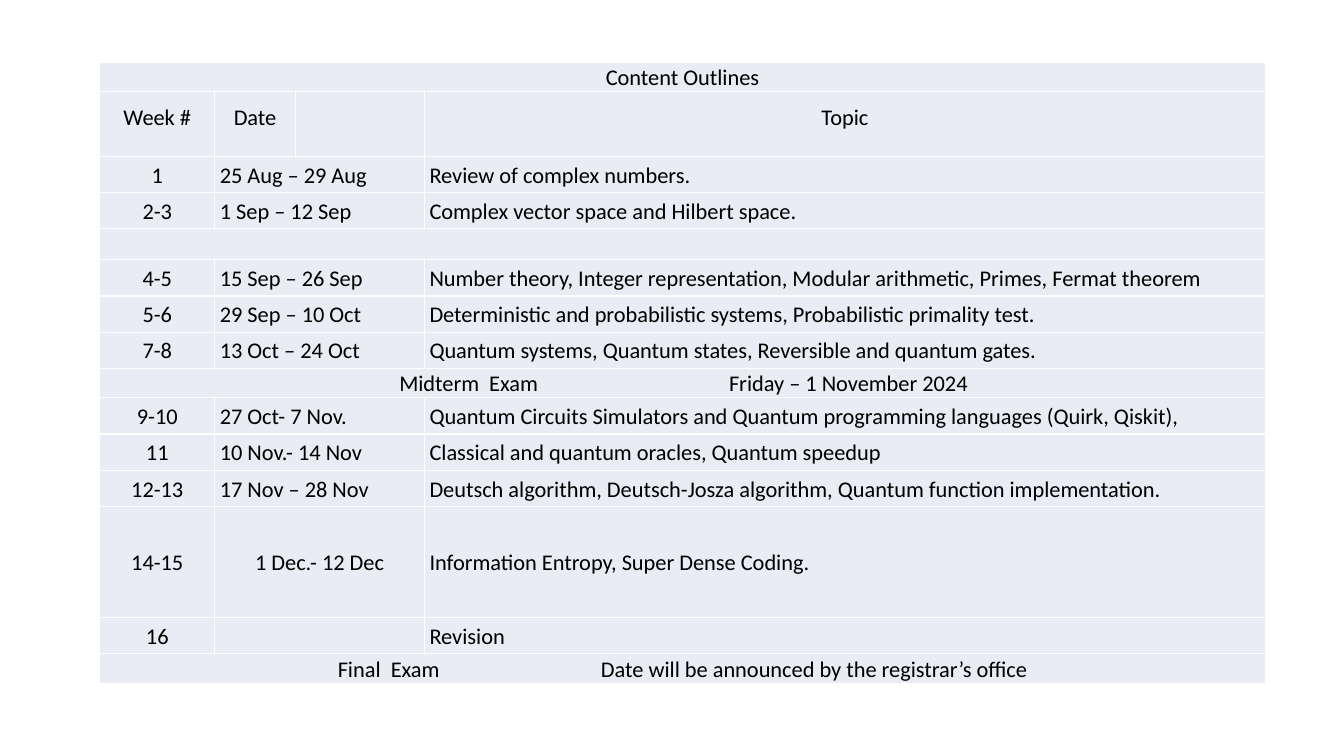
from lxml import etree
from pptx import Presentation
from pptx.dml.color import RGBColor
from pptx.enum.text import MSO_ANCHOR, PP_ALIGN
from pptx.oxml.ns import qn
from pptx.util import Inches, Pt

CENTER, LEFT = PP_ALIGN.CENTER, PP_ALIGN.LEFT
MIDDLE = MSO_ANCHOR.MIDDLE
BLACK = RGBColor(0x00, 0x00, 0x00)
WHITE = RGBColor(0xFF, 0xFF, 0xFF)
PALE_BLUE = RGBColor(0xE9, 0xEB, 0xF5)

BLANK_LAYOUT = 6
COLUMN_WIDTHS = [1.14, 0.8, 1.28, 8.34]
BANNER, HEADER, WEEK, GAP, TALL = 0.29, 0.64, 0.36, 0.3, 1.1

SCHEDULE = [
    (BANNER, ["Content Outlines"]),
    (HEADER, ["Week #", "Date", "", "Topic"]),
    (WEEK, ["1", "25 Aug – 29 Aug", "Review of complex numbers."]),
    (WEEK, ["2-3", "1 Sep – 12 Sep", "Complex vector space and Hilbert space."]),
    (GAP, [""]),
    (WEEK, ["4-5", "15 Sep – 26 Sep",
            "Number theory, Integer representation, Modular arithmetic, Primes, Fermat theorem"]),
    (WEEK, ["5-6", "29 Sep – 10 Oct",
            "Deterministic and probabilistic systems, Probabilistic primality test."]),
    (WEEK, ["7-8", "13 Oct – 24 Oct",
            "Quantum systems, Quantum states, Reversible and quantum gates."]),
    (BANNER, ["\tMidterm  Exam\tFriday – 1 November 2024"]),
    (WEEK, ["9-10", "27 Oct- 7 Nov.",
            "Quantum Circuits Simulators and Quantum programming languages (Quirk, Qiskit),"]),
    (WEEK, ["11", "10 Nov.- 14 Nov", "Classical and quantum oracles, Quantum speedup"]),
    (WEEK, ["12-13", "17 Nov – 28 Nov",
            "Deutsch algorithm, Deutsch-Josza algorithm, Quantum function implementation."]),
    (TALL, ["14-15", "1 Dec.- 12 Dec", "Information Entropy, Super Dense Coding."]),
    (WEEK, ["16", "", "Revision"]),
    (BANNER, ["\tFinal  Exam\tDate will be announced by the registrar’s office"]),
]
EXAM_TABS = {8: [2.92, 6.19], 14: [2.31, 4.92]}
CELL_COLUMNS = {1: [0], 3: [0, 1, 3], 4: [0, 1, 2, 3]}


def add_borders(cell):
    properties = cell._tc.get_or_add_tcPr()
    for side in ("a:lnL", "a:lnR", "a:lnT", "a:lnB"):
        line = etree.SubElement(properties, qn(side), w=str(Pt(1)))
        fill = etree.SubElement(line, qn("a:solidFill"))
        etree.SubElement(fill, qn("a:srgbClr"), val=str(WHITE))


def style_cell(cell):
    add_borders(cell)
    cell.fill.solid()
    cell.fill.fore_color.rgb = PALE_BLUE
    cell.vertical_anchor = MIDDLE
    cell.margin_left = cell.margin_right = Inches(0.05)
    cell.margin_top = cell.margin_bottom = 0


def add_tabs(para, positions):
    tabs = etree.SubElement(para._p.get_or_add_pPr(), qn("a:tabLst"))
    for position in positions:
        etree.SubElement(tabs, qn("a:tab"), pos=str(Inches(position)), algn="l")


def write_cell(cell, text, alignment, spacing, tabs):
    para = cell.text_frame.paragraphs[0]
    para.alignment = alignment
    para.line_spacing = spacing
    para.space_after = Pt(8)
    if tabs:
        add_tabs(para, tabs)
    span = para.add_run()
    span.text = text
    span.font.name = "Calibri"
    span.font.size = Pt(16)
    span.font.color.rgb = BLACK


def fill_row(table, index, height, texts):
    table.rows[index].height = Inches(height)
    tabs = EXAM_TABS.get(index)
    spacing = Pt(10) if height == HEADER else 1.07
    for column in range(len(COLUMN_WIDTHS)):
        style_cell(table.cell(index, column))
    if len(texts) == 1:
        table.cell(index, 0).merge(table.cell(index, 3))
    elif len(texts) == 3:
        table.cell(index, 1).merge(table.cell(index, 2))
    for column, text in zip(CELL_COLUMNS[len(texts)], texts):
        centered = column == 0 or height == HEADER or (height == TALL and column == 1)
        alignment = CENTER if centered and not tabs else LEFT
        if text:
            write_cell(table.cell(index, column), text, alignment, spacing, tabs)


def add_schedule(page):
    height = sum(row_height for row_height, texts in SCHEDULE)
    frame = page.shapes.add_table(
        len(SCHEDULE), len(COLUMN_WIDTHS), Inches(0.99), Inches(0.62),
        Inches(sum(COLUMN_WIDTHS)), Inches(height))
    table = frame.table
    table.first_row = False
    table.horz_banding = False
    for column, width in zip(table.columns, COLUMN_WIDTHS):
        column.width = Inches(width)
    for index, (row_height, texts) in enumerate(SCHEDULE):
        fill_row(table, index, row_height, texts)


def main():
    deck = Presentation()
    deck.slide_width, deck.slide_height = Inches(13.33), Inches(7.5)
    page = deck.slides.add_slide(deck.slide_layouts[BLANK_LAYOUT])
    add_schedule(page)
    deck.save("out.pptx")


if __name__ == "__main__":
    main()
